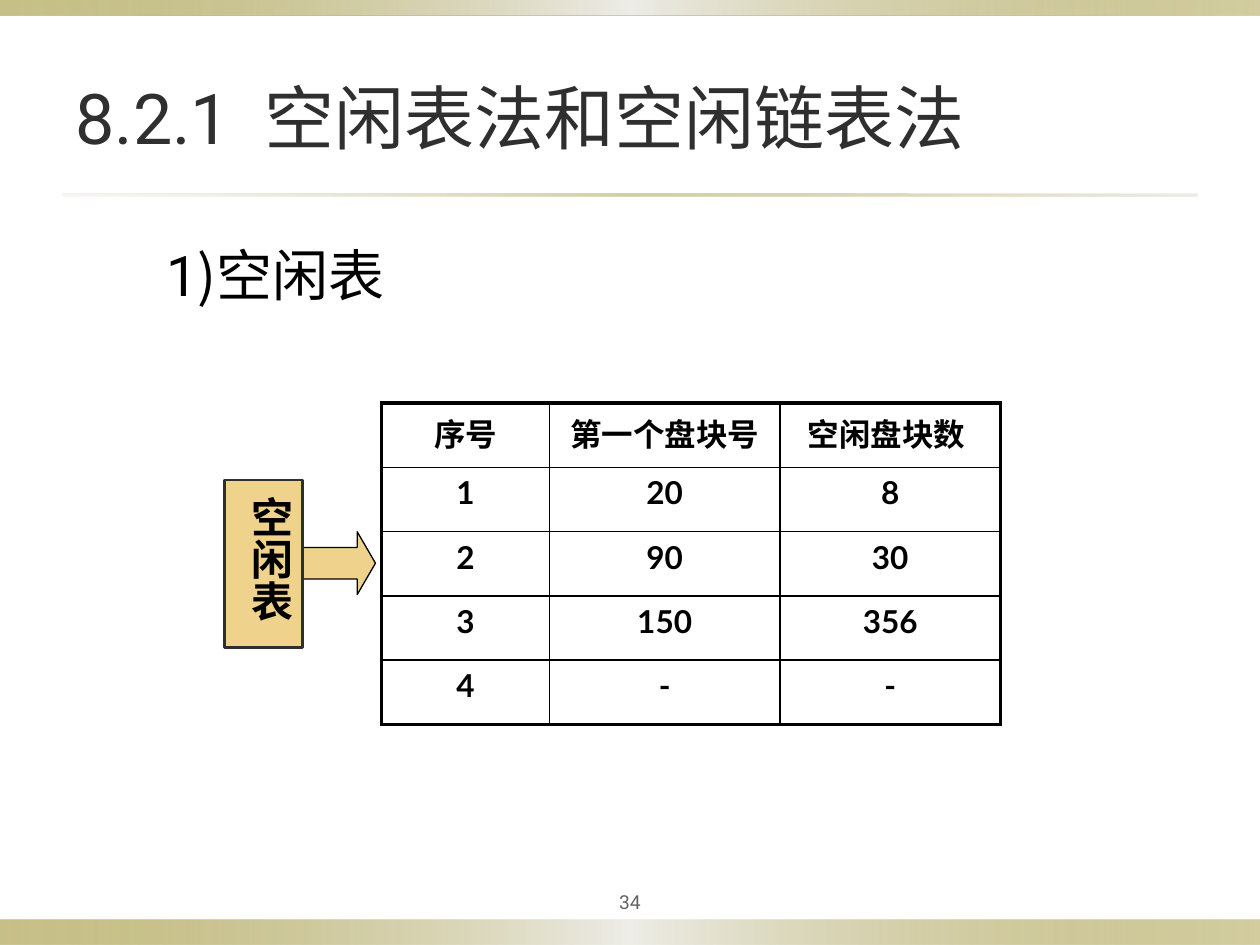
from lxml.etree import SubElement
from pptx import Presentation
from pptx.dml.color import RGBColor
from pptx.enum.shapes import MSO_SHAPE
from pptx.enum.text import MSO_ANCHOR, PP_ALIGN
from pptx.oxml.ns import qn
from pptx.util import Inches, Pt

COLS, ROWS = 100, 75
WIDTH, HEIGHT = Inches(10), Inches(7.5)

BLACK = RGBColor(0x00, 0x00, 0x00)
DARK = RGBColor(0x2F, 0x2F, 0x2F)
GRAY = RGBColor(0x63, 0x63, 0x63)
SAND = RGBColor(0xEF, 0xD2, 0x8C)
OLIVE = RGBColor(0x91, 0x84, 0x15)
PALE = RGBColor(0xEE, 0xED, 0xE8)
MIST = RGBColor(0xDC, 0xD9, 0xCC)

LATO, ROBOTO, NOTO = "Lato", "Roboto", "Noto Sans CJK SC"
BAND = [(0, OLIVE, 50), (50, PALE, 100), (100, OLIVE, 40)]
RULE = [(0, MIST, 20), (50, OLIVE, 40), (100, MIST, 50)]
FREE_BLOCKS = [
    ("序号", "第一个盘块号", "空闲盘块数 "),
    ("1", "20", "8"),
    ("2", "90", "30"),
    ("3", "150", "356"),
    ("4", "-", "-"),
]
COLUMN_SPANS = (13.3, 18.3, 17.5)
ROW_SPAN = 5.1


def across(cols):
    return int(WIDTH * cols / COLS)


def down(rows):
    return int(HEIGHT * rows / ROWS)


def area(x, y, w, h):
    return across(x), down(y), across(w), down(h)


def apply(target, values):
    for name, value in values.items():
        setattr(target, name, value)


def add_run(p, text, font, size, color, bold=False):
    r = p.add_run()
    r.text = text
    apply(r.font, {"name": font, "size": Pt(size), "bold": bold})
    r.font.color.rgb = color
    SubElement(r.font._element, qn("a:ea"), typeface=NOTO)


def add_text(s, place, runs, size, color, frame=None, paragraph=None):
    sp = s.shapes.add_textbox(*area(*place))
    tf = sp.text_frame
    apply(tf, {"word_wrap": True, **(frame or {})})
    p = tf.paragraphs[0]
    apply(p, paragraph or {})
    for text, font in runs:
        add_run(p, text, font, size, color)


def add_shape(s, kind, place, fill=None, line=None, width=0):
    sp = s.shapes.add_shape(kind, *area(*place))
    sp.shadow.inherit = False
    if fill is not None:
        sp.fill.solid()
        sp.fill.fore_color.rgb = fill
    if line is None:
        sp.line.fill.background()
    else:
        sp.line.color.rgb = line
        sp.line.width = Pt(width)
    return sp


def add_gradient_bar(s, place, stops):
    sp = add_shape(s, MSO_SHAPE.RECTANGLE, place)
    sp.fill.gradient()
    sp.fill.gradient_angle = 0
    gs_list = sp._element.spPr.find(qn("a:gradFill")).find(qn("a:gsLst"))
    for gs in list(gs_list):
        gs_list.remove(gs)
    for position, color, opacity in stops:
        gs = SubElement(gs_list, qn("a:gs"), pos=str(position * 1000))
        clr = SubElement(gs, qn("a:srgbClr"), val=str(color))
        SubElement(clr, qn("a:alpha"), val=str(opacity * 1000))


def set_borders(cell, widths):
    tc_pr = cell._tc.get_or_add_tcPr()
    for index, (side, width) in enumerate(widths.items()):
        ln = tc_pr.makeelement(qn(f"a:ln{side}"), {"w": str(Pt(width))})
        fill = SubElement(ln, qn("a:solidFill"))
        SubElement(fill, qn("a:srgbClr"), val=str(BLACK))
        tc_pr.insert(index, ln)


def add_free_table(s, x, y):
    n_rows, n_cols = len(FREE_BLOCKS), len(COLUMN_SPANS)
    place = area(x, y, sum(COLUMN_SPANS), ROW_SPAN * n_rows)
    table = s.shapes.add_table(n_rows, n_cols, *place).table
    apply(table, {"first_row": False, "horz_banding": False})
    for column, span in zip(table.columns, COLUMN_SPANS):
        column.width = across(span)
    for i, values in enumerate(FREE_BLOCKS):
        table.rows[i].height = down(ROW_SPAN)
        for j, text in enumerate(values):
            cell = table.cell(i, j)
            cell.fill.background()
            edges = {"L": j == 0, "R": j == n_cols - 1,
                     "T": i == 0, "B": i == n_rows - 1}
            set_borders(cell, {side: 2.25 if outer else 1
                               for side, outer in edges.items()})
            p = cell.text_frame.paragraphs[0]
            apply(p, {"alignment": PP_ALIGN.CENTER, "space_before": Pt(3.6)})
            font = NOTO if text.endswith(" ") else LATO
            add_run(p, text, font, 18, BLACK, True)


def add_vertical_label(s, place, text):
    sp = add_shape(s, MSO_SHAPE.RECTANGLE, place, SAND, DARK, 1.5)
    tf = sp.text_frame
    apply(tf, {"word_wrap": True, "vertical_anchor": MSO_ANCHOR.TOP,
               "margin_top": Inches(0.13)})
    tf._txBody.bodyPr.set("vert", "eaVert")
    p = tf.paragraphs[0]
    apply(p, {"alignment": PP_ALIGN.LEFT, "space_before": Pt(12)})
    add_run(p, text, LATO, 24, BLACK, True)


def main():
    prs = Presentation()
    apply(prs, {"slide_width": WIDTH, "slide_height": HEIGHT})
    s = prs.slides.add_slide(prs.slide_layouts[6])

    add_gradient_bar(s, (0, 73, COLS, 2), BAND)
    add_gradient_bar(s, (0, 0, COLS, 1.2), BAND)
    add_gradient_bar(s, (5, 15.4, 90, 0.2), RULE)

    middle = {"vertical_anchor": MSO_ANCHOR.MIDDLE}
    margins = {f"margin_{side}": Inches(0.05)
               for side in ("left", "top", "right", "bottom")}
    add_text(s, (5, 3, 90, 12.5),
             [("8.2.1  ", ROBOTO), ("空闲表法和空闲链表法", NOTO)],
             40, DARK, middle)
    add_text(s, (12.2, 18.6, 81.9, 20.4),
             [("1", ROBOTO), (")空闲表", NOTO)], 32, BLACK)
    add_text(s, (45, 70, 10, 3.1), [("34", ROBOTO)], 11, GRAY,
             {**middle, **margins}, {"alignment": PP_ALIGN.CENTER})

    add_free_table(s, 30.3, 32)
    arrow = add_shape(s, MSO_SHAPE.RIGHT_ARROW, (24, 42.2, 5.8, 5),
                      SAND, BLACK, 0.75)
    arrow.adjustments[0], arrow.adjustments[1] = 0.5, 0.29
    add_vertical_label(s, (17.8, 38.1, 6.2, 13.3), "空闲表")

    prs.save("out.pptx")


if __name__ == "__main__":
    main()
